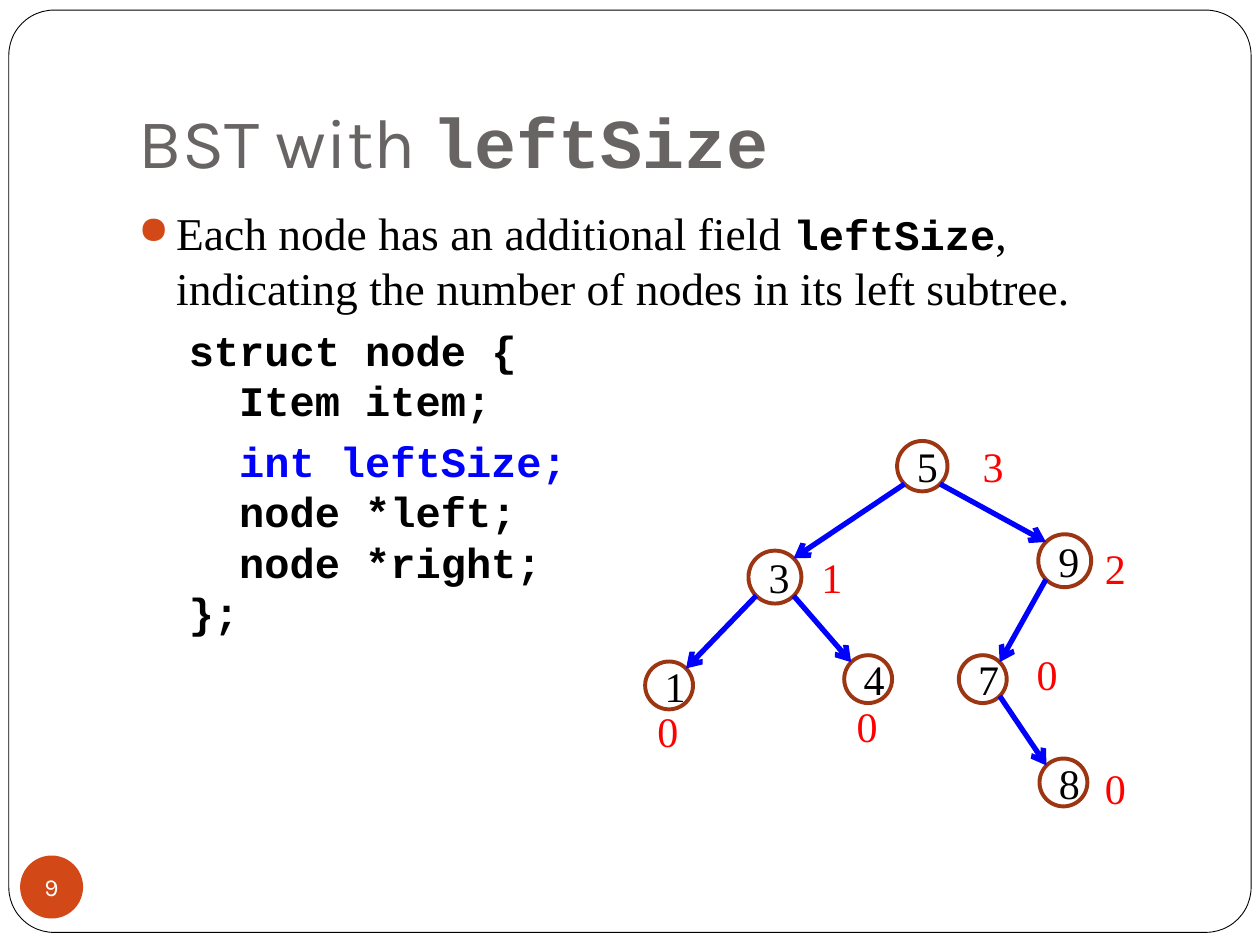
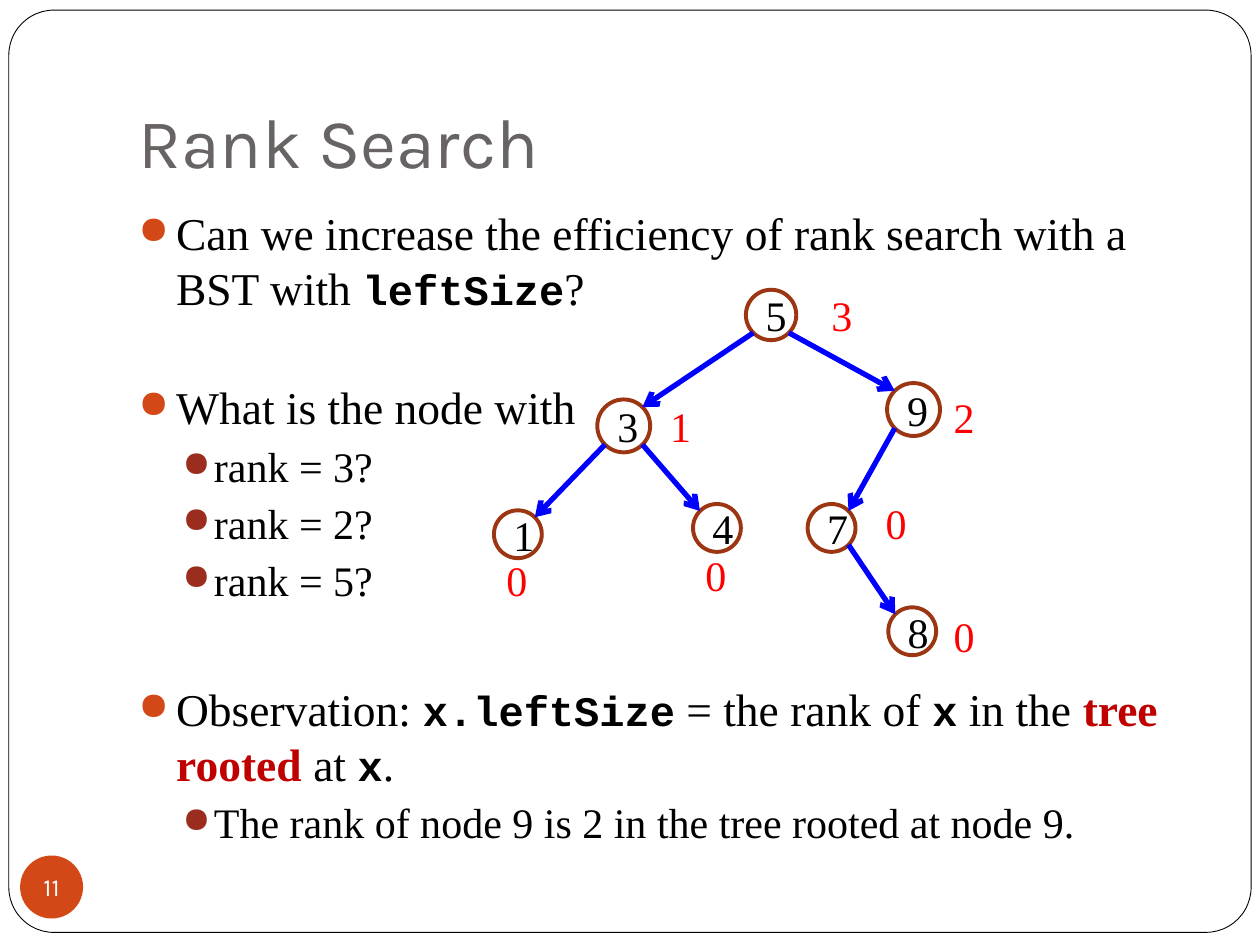
from lxml import etree
from pptx import Presentation
from pptx import util as u
from pptx.dml.color import RGBColor
from pptx.enum import shapes, text
from pptx.oxml import ns

COLORS = {
    "paper": "FFFFFF", "ink": "000000", "title": "696464", "badge": "D34817",
    "sub_bullet": "9B2D1F", "ring": "9C3511", "edge": "0000FF",
    "size": "FF0000", "strong": "C00000",
}
COLUMNS, ROWS = 100, 75
SANS, SERIF, MONO = "Karla", "Times New Roman", "Courier New"
CODE = dict(font=MONO, size=24, bold=True)
BULLETS = [
    dict(margin=3, hanging=3, before=5.8, color="badge", size=26),
    dict(margin=6, hanging=2.5, before=3.7, color="sub_bullet", size=24),
]
NODES = {
    "5": dict(at=(20, 0.5), across=4, size="3", size_at=(25.8, 0)),
    "3": dict(at=(8.2, 9.2), across=4.2, size="1", size_at=(13, 8.8)),
    "1": dict(at=(0, 18), across=3.8, size="0", size_at=(0, 21)),
    "9": dict(at=(31.2, 7.9), across=4.2, size="2", size_at=(35.5, 8.1)),
    "4": dict(at=(15.8, 17.5), across=3.8, size="0", size_at=(15.8, 20.6)),
    "7": dict(at=(24.9, 17.5), across=3.8, size="0", size_at=(30.1, 16.5)),
    "8": dict(at=(31.3, 25.7), across=3.8, size="0", size_at=(35.5, 25.5)),
}
EDGES = [("5", "3", "left"), ("5", "9", "right"), ("3", "1", "left"),
         ("3", "4", "right"), ("9", "7", "left"), ("7", "8", "right")]

deck = Presentation()
deck.slide_width, deck.slide_height = u.Inches(10), u.Inches(7.5)


def cells(*lengths):
    return [round(n * deck.slide_width / COLUMNS) for n in lengths]


def rgb(name):
    return RGBColor.from_string(COLORS[name])


def write(paragraph, words, font=SERIF, size=24, color="ink", bold=False, align=None):
    run = paragraph.add_run()
    run.text = words
    run.font.name, run.font.size, run.font.bold = font, u.Pt(size), bold
    run.font.color.rgb = rgb(color)
    if align is not None:
        paragraph.alignment = align


def draw(parent, preset, box, fill=None, line=None, width=1):
    shape = parent.add_shape(preset, *cells(*box))
    shape.shadow.inherit = False
    if fill:
        shape.fill.solid()
        shape.fill.fore_color.rgb = rgb(fill)
    else:
        shape.fill.background()
    if line:
        shape.line.color.rgb = rgb(line)
        shape.line.width = u.Pt(width)
    else:
        shape.line.fill.background()
    return shape


def indent(paragraph, margin, hanging=0, before=0, bullet=None):
    paragraph.space_before = u.Pt(before)
    props = paragraph._p.get_or_add_pPr()
    left, hang = cells(margin, hanging)
    props.set("marL", str(left))
    props.set("indent", str(-hang))
    if bullet:
        tint = etree.SubElement(props, ns.qn("a:buClr"))
        etree.SubElement(tint, ns.qn("a:srgbClr"), val=COLORS[bullet])
        etree.SubElement(props, ns.qn("a:buSzPct"), val="85000")
        etree.SubElement(props, ns.qn("a:buChar"), char="●")


def next_paragraph(frame):
    first = frame.paragraphs[0]
    return first if not first.runs else frame.add_paragraph()


def add_bullet(frame, *parts, level=0, gap=0):
    style = BULLETS[level]
    paragraph = next_paragraph(frame)
    paragraph.level = level
    indent(paragraph, style["margin"], style["hanging"], style["before"] + gap, style["color"])
    for words, changes in parts:
        write(paragraph, words, **{"size": style["size"], **changes})


def add_code(frame, words, depth=0, before=0, color="ink"):
    paragraph = next_paragraph(frame)
    indent(paragraph, 4 + 4 * depth, before=before)
    write(paragraph, words, color=color, **CODE)


def add_body(slide, box):
    frame = slide.shapes.add_textbox(*cells(*box)).text_frame
    frame.word_wrap = True
    return frame


def add_slide(title_parts, number):
    slide = deck.slides.add_slide(deck.slide_layouts[5])
    title = slide.shapes.title
    title.left, title.top, title.width, title.height = cells(10, 3, 85, 12.5)
    frame = title.text_frame
    frame.auto_size = text.MSO_AUTO_SIZE.NONE
    frame.vertical_anchor = text.MSO_ANCHOR.BOTTOM
    frame.margin_left, frame.margin_top, frame.margin_right, frame.margin_bottom = cells(1, 0.5, 1, 1)
    for words, changes in title_parts:
        write(frame.paragraphs[0], words, align=text.PP_ALIGN.LEFT,
              **{"font": SANS, "size": 40, "color": "title", **changes})

    border = draw(slide.shapes, shapes.MSO_SHAPE.ROUNDED_RECTANGLE,
                  (0.7, 0.8, COLUMNS - 1.4, ROWS - 1.8), "paper", "ink", 0.5)
    border.adjustments[0] = 0.049
    title.element.addprevious(border.element)

    badge = draw(slide.shapes, shapes.MSO_SHAPE.OVAL, (1.6, 67.9, 5, 5), "badge").text_frame
    badge.margin_left = badge.margin_top = badge.margin_right = badge.margin_bottom = 0
    badge.word_wrap = False
    write(badge.paragraphs[0], number, font=SANS, size=14, color="paper", align=text.PP_ALIGN.CENTER)
    return slide


def add_arrow(parent, start, end):
    arrow = parent.add_connector(shapes.MSO_CONNECTOR.STRAIGHT, *cells(*start, *end))
    arrow.line.color.rgb = rgb("edge")
    arrow.line.width = u.Pt(3)
    etree.SubElement(arrow.line._get_or_add_ln(), ns.qn("a:tailEnd"), type="arrow")
    etree.SubElement(arrow.element.spPr, ns.qn("a:effectLst"))


def rim(node, across, down, left, top):
    shares = {"left": 0.146, "top": 0.146, "right": 0.854, "bottom": 0.854}
    x, y = node["at"]
    return left + x + shares[across] * node["across"], top + y + shares[down] * node["across"]


def add_tree(slide, left, top):
    tree = slide.shapes.add_group_shape().shapes
    for key, node in NODES.items():
        x, y = node["at"]
        ring = draw(tree, shapes.MSO_SHAPE.OVAL,
                    (left + x, top + y, node["across"], node["across"]), line="ring", width=2.25)
        write(ring.text_frame.paragraphs[0], key, align=text.PP_ALIGN.CENTER)
        x, y = node["size_at"]
        left_size = tree.add_textbox(*cells(left + x, top + y, 3.6, 5)).text_frame
        left_size.word_wrap = False
        left_size.auto_size = text.MSO_AUTO_SIZE.SHAPE_TO_FIT_TEXT
        write(left_size.paragraphs[0], node["size"], color="size")
    for parent, child, side in EDGES:
        facing = "right" if side == "left" else "left"
        add_arrow(tree, rim(NODES[parent], side, "bottom", left, top),
                  rim(NODES[child], facing, "top", left, top))


def build_left_size():
    slide = add_slide([("BST with ", {}), ("leftSize", dict(font=MONO, bold=True))], "9")
    body = add_body(slide, (10, 15.8, 85, 50))
    add_bullet(body, ("Each node has an additional field ", {}), ("leftSize", CODE),
               (", indicating the number of nodes in its left subtree.", {}))
    add_code(body, "struct node {", before=5.8)
    add_code(body, "Item item;", depth=1)
    add_code(body, "int leftSize;", depth=1, before=5.8, color="edge")
    add_code(body, "node *left;", depth=1)
    add_code(body, "node *right;", depth=1)
    add_code(body, "};")
    add_tree(slide, 51.2, 34.5)


def build_rank_search():
    slide = add_slide([("Rank Search", {})], "11")
    body = add_body(slide, (10, 15.8, 85, 53.3))
    add_bullet(body, ("Can we increase the efficiency of rank search with a BST with ", {}),
               ("leftSize", CODE), ("?", {}))
    add_bullet(body, ("What is the node with", {}), gap=31.3)
    for rank in (3, 2, 5):
        add_bullet(body, (f"rank = {rank}?", {}), level=1)
    add_bullet(body, ("Observation: ", {}), ("x.leftSize", CODE), (" = the rank of ", {}),
               ("x", CODE), (" in the ", {}), ("tree rooted ", dict(color="strong", bold=True)),
               ("at ", {}), ("x", CODE), (".", {}), gap=38)
    add_bullet(body, ("The rank of node 9 is 2 in the tree rooted at node 9.", {}), level=1)
    add_tree(slide, 39.2, 22.5)


build_left_size()
build_rank_search()
deck.save("out.pptx")
